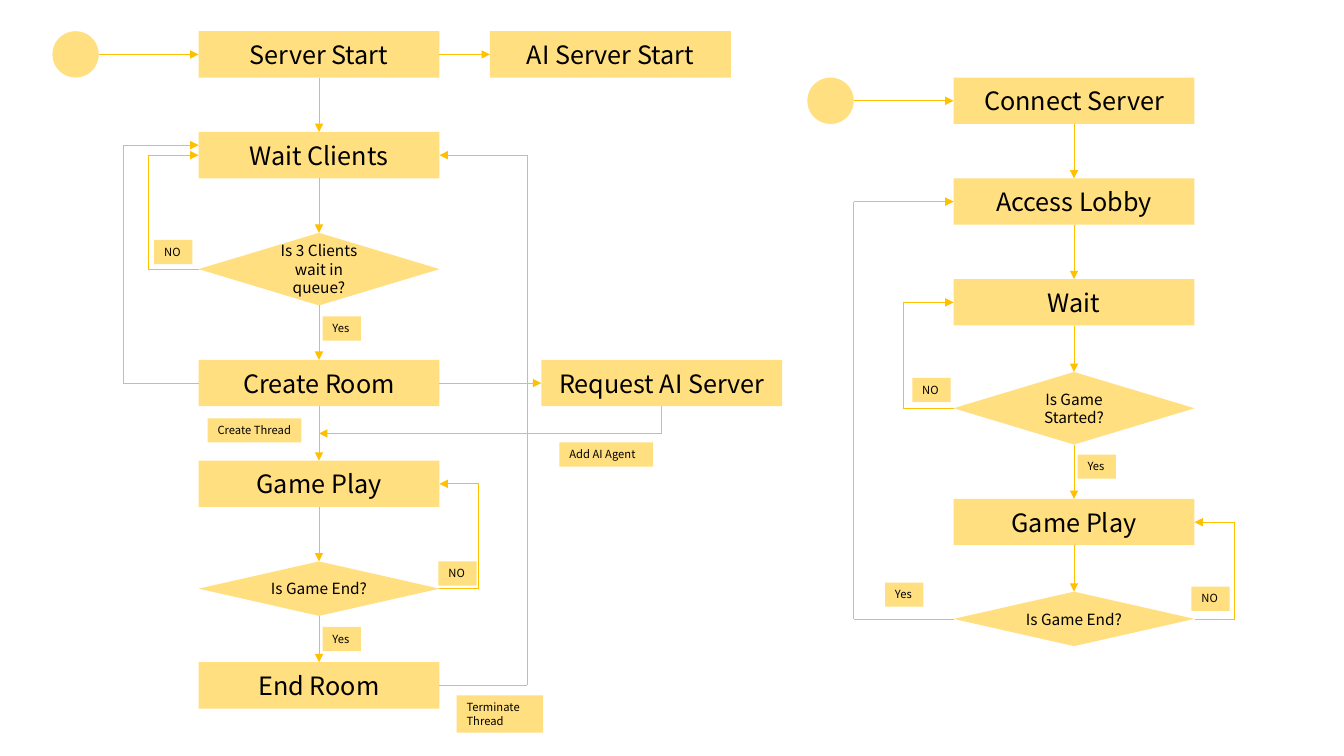
from collections import namedtuple

from lxml import etree
from pptx import Presentation
from pptx import util as u
from pptx.dml.color import RGBColor
from pptx.enum import shapes, text
from pptx.oxml import ns

AMBER = RGBColor(0xFF, 0xC0, 0x00)
BLACK = RGBColor(0x00, 0x00, 0x00)
FONT = "Noto Sans CJK KR"

# Grid: every column and row is a tenth of an inch
CELL = u.Inches(0.1)
COLS, ROWS = 133.33, 75

# Positions shared by both flows, counted from the left edge of the flow
BOX_W, BOX_H = 23.9, 4.6
LEFT = 14.5
RIGHT = LEFT + BOX_W
AXIS = LEFT + BOX_W / 2
LOOP = 9.5
YES_X = 26.8
GAP, SHORT_GAP = 5.4, 4.6

RECT = shapes.MSO_SHAPE.RECTANGLE
DECISION = shapes.MSO_SHAPE.FLOWCHART_DECISION
START = shapes.MSO_SHAPE.FLOWCHART_CONNECTOR

Box = namedtuple("Box", "left top")
Step = namedtuple("Step", "label kind height gap")


def cells(n):
    return round(n * CELL)


def add_text(sp, words, size, align=text.PP_ALIGN.CENTER,
             anchor=text.MSO_ANCHOR.MIDDLE, wrap=True):
    tf = sp.text_frame
    tf.word_wrap = wrap
    tf.vertical_anchor = anchor
    p = tf.paragraphs[0]
    p.alignment = align
    r = p.add_run()
    r.text = words
    r.font.size = u.Pt(size)
    r.font.name = FONT
    r.font.color.rgb = BLACK


def add_node(slide, box, x, y, w, h, kind=RECT):
    """Half-transparent amber shape without an outline."""
    sp = slide.shapes.add_shape(kind, cells(box.left + x), cells(box.top + y),
                                cells(w), cells(h))
    sp.shadow.inherit = False
    sp.line.fill.background()
    sp.fill.solid()
    sp.fill.fore_color.rgb = AMBER
    color = sp.fill._xPr.find(".//" + ns.qn("a:srgbClr"))
    etree.SubElement(color, ns.qn("a:alpha")).set("val", "50000")
    return sp


def add_process(slide, box, x, y, label):
    add_text(add_node(slide, box, x, y, BOX_W, BOX_H), label, 18)


def add_tag(slide, box, x, y, label, w=3.8, h=2.4, wrap=False):
    add_text(add_node(slide, box, x, y, w, h), label, 8, text.PP_ALIGN.LEFT,
             text.MSO_ANCHOR.TOP, wrap)


def add_route(slide, box, *points):
    """Straight segments through the points, with an arrowhead at the end."""
    for start, end in zip(points, points[1:]):
        (x1, y1), (x2, y2) = start, end
        line = slide.shapes.add_connector(
            shapes.MSO_CONNECTOR.STRAIGHT,
            cells(box.left + x1), cells(box.top + y1),
            cells(box.left + x2), cells(box.top + y2))
        line.line.color.rgb = AMBER
        line.line.width = u.Pt(0.5)
        if end == points[-1]:
            etree.SubElement(line.line._get_or_add_ln(),
                             ns.qn("a:tailEnd")).set("type", "triangle")
        etree.SubElement(line._element.spPr, ns.qn("a:effectLst"))


def process(label, gap=GAP):
    return Step(label, RECT, BOX_H, gap)


def decision(label, height, gap=GAP):
    return Step(label, DECISION, height, gap)


def add_column(slide, box, steps):
    """Start circle and joined steps; returns the middle row of each step."""
    add_node(slide, box, 0, 0, BOX_H, BOX_H, START)
    add_route(slide, box, (BOX_H, BOX_H / 2), (LEFT, BOX_H / 2))
    y, middles = 0, []
    for i, step in enumerate(steps):
        if i:
            add_route(slide, box, (AXIS, y), (AXIS, y + step.gap))
            y += step.gap
        if step.kind == RECT:
            add_process(slide, box, LEFT, y, step.label)
        else:
            sp = add_node(slide, box, LEFT, y, BOX_W, step.height, DECISION)
            add_text(sp, step.label, 11)
        middles.append(y + step.height / 2)
        y += step.height
    return middles


def add_server_flow(slide, box):
    start, wait, queue, create, play, ended, end_room = add_column(slide, box, [
        process("Server Start"),
        process("Wait Clients"),
        decision("Is 3 Clients wait in queue?", 7.2),
        process("Create Room"),
        process("Game Play"),
        decision("Is Game End?", 5.4),
        process("End Room", SHORT_GAP),
    ])

    # AI server boxes on the right
    ai_start, request, merge = 43.4, 48.5, 39.9
    add_process(slide, box, ai_start, start - BOX_H / 2, "AI Server Start")
    add_route(slide, box, (RIGHT, start), (ai_start, start))
    add_process(slide, box, request, create - BOX_H / 2, "Request AI Server")
    add_route(slide, box, (RIGHT, create), (request, create))
    request_axis = request + BOX_W / 2
    add_route(slide, box, (request_axis, create + BOX_H / 2),
              (request_axis, merge), (AXIS, merge))

    # Return loops: side, lane, row left, row entered
    for side, lane, source, target in (
            (LEFT, LOOP, queue, wait), (LEFT, 7, create, wait - 1),
            (RIGHT, 42.3, ended, play), (RIGHT, 47.1, end_room, wait)):
        add_route(slide, box, (side, source), (lane, source),
                  (lane, target), (side, target))

    # Tags
    add_tag(slide, box, 10.1, 20.7, "NO")
    add_tag(slide, box, YES_X, 28.3, "Yes")
    add_tag(slide, box, 38.3, 52.6, "NO")
    add_tag(slide, box, YES_X, 59.1, "Yes")
    add_tag(slide, box, 15.4, 38.4, "Create Thread", w=9.3, wrap=True)
    add_tag(slide, box, 50.3, 40.8, "Add AI Agent", w=9.3, wrap=True)
    add_tag(slide, box, 40.1, 65.9, "Terminate Thread", w=8.6, h=3.7, wrap=True)


def add_client_flow(slide, box):
    _, lobby, wait, started, play, ended = add_column(slide, box, [
        process("Connect Server"),
        process("Access Lobby"),
        process("Wait"),
        decision("Is Game Started?", 7.2, SHORT_GAP),
        process("Game Play"),
        decision("Is Game End?", 5.4, SHORT_GAP),
    ])

    # Return loops: side, lane, row left, row entered
    for side, lane, source, target in (
            (LEFT, LOOP, started, wait), (LEFT, BOX_H, ended, lobby),
            (RIGHT, 42.4, ended, play)):
        add_route(slide, box, (side, source), (lane, source),
                  (lane, target), (side, target))

    # Tags
    add_tag(slide, box, 10.4, 29.8, "NO")
    add_tag(slide, box, YES_X, 37.4, "Yes")
    add_tag(slide, box, 38.1, 50.5, "NO")
    add_tag(slide, box, 7.7, 50.1, "Yes")


prs = Presentation()
prs.slide_width, prs.slide_height = cells(COLS), cells(ROWS)
slide = prs.slides.add_slide(prs.slide_layouts[6])
add_server_flow(slide, Box(5.2, 3.1))
add_client_flow(slide, Box(80.1, 7.7))
prs.save("out.pptx")
